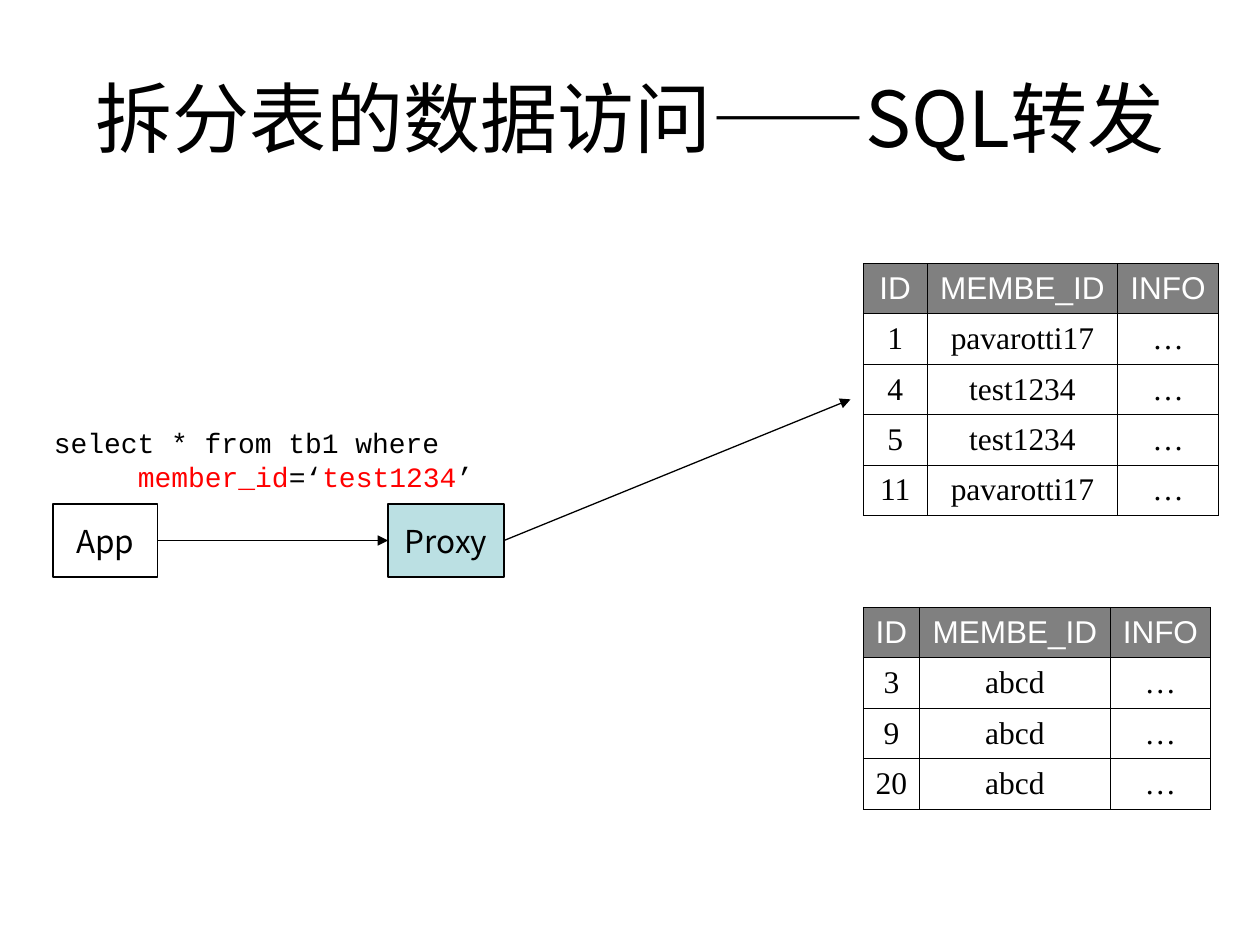
from lxml import etree
from pptx import Presentation
from pptx import util as u
from pptx.dml.color import RGBColor
from pptx.enum import shapes, text
from pptx.oxml import ns

BLACK, WHITE, RED, GREY, TEAL = "000000", "FFFFFF", "FF0000", "808080", "BBE0E3"
HEADER = ["ID", "MEMBE_ID", "INFO"]


def rgb(value):
    return RGBColor.from_string(value)


def add_xml(parent, tag, **attrs):
    return etree.SubElement(parent, ns.qn(tag), attrs)


class SlideBuilder:
    sans, mono, serif, head = "Noto Sans CJK SC", "Courier New", "Times New Roman", "Arial"

    def __init__(self, slide):
        self.s = slide

    def format(self, p, size, name, color=BLACK, align=text.PP_ALIGN.CENTER):
        p.alignment = align
        f = p.font
        f.size, f.name, f.bold = u.Pt(size), name, False
        f.color.rgb = rgb(color)
        add_xml(p._p.pPr.find(ns.qn("a:defRPr")), "a:ea", typeface=name)

    def title(self, words, left, top, width, height):
        sp = self.s.shapes.title
        sp.left, sp.top = u.Inches(left), u.Inches(top)
        sp.width, sp.height = u.Inches(width), u.Inches(height)
        tf = sp.text_frame
        tf.text, tf.word_wrap = words, True
        tf.auto_size = text.MSO_AUTO_SIZE.NONE
        tf.vertical_anchor = text.MSO_ANCHOR.MIDDLE
        self.format(tf.paragraphs[0], 44, self.sans)

    def box(self, words, left, top, width, height, fill=None):
        sp = self.s.shapes.add_shape(shapes.MSO_SHAPE.RECTANGLE, u.Inches(left),
                                     u.Inches(top), u.Inches(width), u.Inches(height))
        sp.shadow.inherit = False
        if fill:
            sp.fill.solid()
            sp.fill.fore_color.rgb = rgb(fill)
        else:
            sp.fill.background()
        sp.line.color.rgb, sp.line.width = rgb(BLACK), u.Pt(0.75)
        tf = sp.text_frame
        tf.text, tf.word_wrap = words, False
        tf.vertical_anchor = text.MSO_ANCHOR.MIDDLE
        self.format(tf.paragraphs[0], 18, self.sans)

    def arrow(self, x1, y1, x2, y2):
        c = self.s.shapes.add_connector(shapes.MSO_CONNECTOR.STRAIGHT, u.Inches(x1),
                                        u.Inches(y1), u.Inches(x2), u.Inches(y2))
        c.line.color.rgb, c.line.width = rgb(BLACK), u.Pt(0.75)
        add_xml(c.line._get_or_add_ln(), "a:tailEnd", type="triangle")
        add_xml(c._element.spPr, "a:effectLst")

    def code(self, lines, left, top, width, height):
        """Add lines of code, each an indent in characters and its (words, color) runs."""
        size = 16
        char_width = u.Pt(size * 0.6)
        sp = self.s.shapes.add_textbox(u.Inches(left), u.Inches(top),
                                       u.Inches(width), u.Inches(height))
        tf = sp.text_frame
        tf.word_wrap = True
        for i, (indent, runs) in enumerate(lines):
            p = tf.add_paragraph() if i else tf.paragraphs[0]
            self.format(p, size, self.mono, align=text.PP_ALIGN.LEFT)
            p._p.pPr.set("marL", str(indent * char_width))
            for words, color in runs:
                r = p.add_run()
                r.text = words
                r.font.color.rgb = rgb(color)
        tf.paragraphs[0].space_before = u.Pt(10)

    def table(self, rows, left, top, widths, row_height=0.4):
        frame = self.s.shapes.add_table(len(rows), len(widths), u.Inches(left), u.Inches(top),
                                        u.Inches(sum(widths)), u.Inches(row_height * len(rows)))
        for column, width in zip(frame.table.columns, widths):
            column.width = u.Inches(width)
        for i, row in enumerate(rows):
            for j, words in enumerate(row):
                self.cell(frame.table.cell(i, j), words, is_header=i == 0)

    def cell(self, cell, words, is_header):
        cell.text = words
        cell.vertical_anchor = text.MSO_ANCHOR.MIDDLE
        p = cell.text_frame.paragraphs[0]
        p.space_before = u.Pt(4.5)
        if is_header:
            self.format(p, 18, self.head, WHITE)
        else:
            self.format(p, 18, self.serif)
        tc_pr = cell._tc.get_or_add_tcPr()
        for side in ("a:lnL", "a:lnR", "a:lnT", "a:lnB"):
            ln = add_xml(tc_pr, side, w=str(u.Pt(0.45)))
            add_xml(add_xml(ln, "a:solidFill"), "a:srgbClr", val=BLACK)
        cell.fill.solid()
        cell.fill.fore_color.rgb = rgb(GREY if is_header else WHITE)


def main():
    prs = Presentation()
    prs.slide_width, prs.slide_height = u.Inches(10), u.Inches(7.5)
    b = SlideBuilder(prs.slides.add_slide(prs.slide_layouts[5]))

    b.title("拆分表的数据访问——SQL转发", 0.5, 0.3, 9, 1.25)

    first_shard = [("1", "pavarotti17"), ("4", "test1234"), ("5", "test1234"),
                   ("11", "pavarotti17")]
    second_shard = [(n, "abcd") for n in ("3", "9", "20")]
    for members, top, id_width in ((first_shard, 2.09, 0.51), (second_shard, 4.82, 0.45)):
        rows = [HEADER] + [[*member, "…"] for member in members]
        b.table(rows, 6.85, top, [id_width, 1.51, 0.8])

    b.box("Proxy", 3.08, 4, 0.92, 0.58, TEAL)
    b.box("App", 0.42, 4, 0.83, 0.58)
    b.arrow(1.25, 4.29, 3.08, 4.29)
    b.arrow(4, 4.29, 6.75, 3.17)

    b.code([(0, [("select * from tb1 where", BLACK)]),
            (5, [("member_id", RED), ("=‘", BLACK), ("test1234", RED), ("’", BLACK)])],
           0.33, 3.33, 3.83, 0.64)

    prs.save("out.pptx")


if __name__ == "__main__":
    main()
